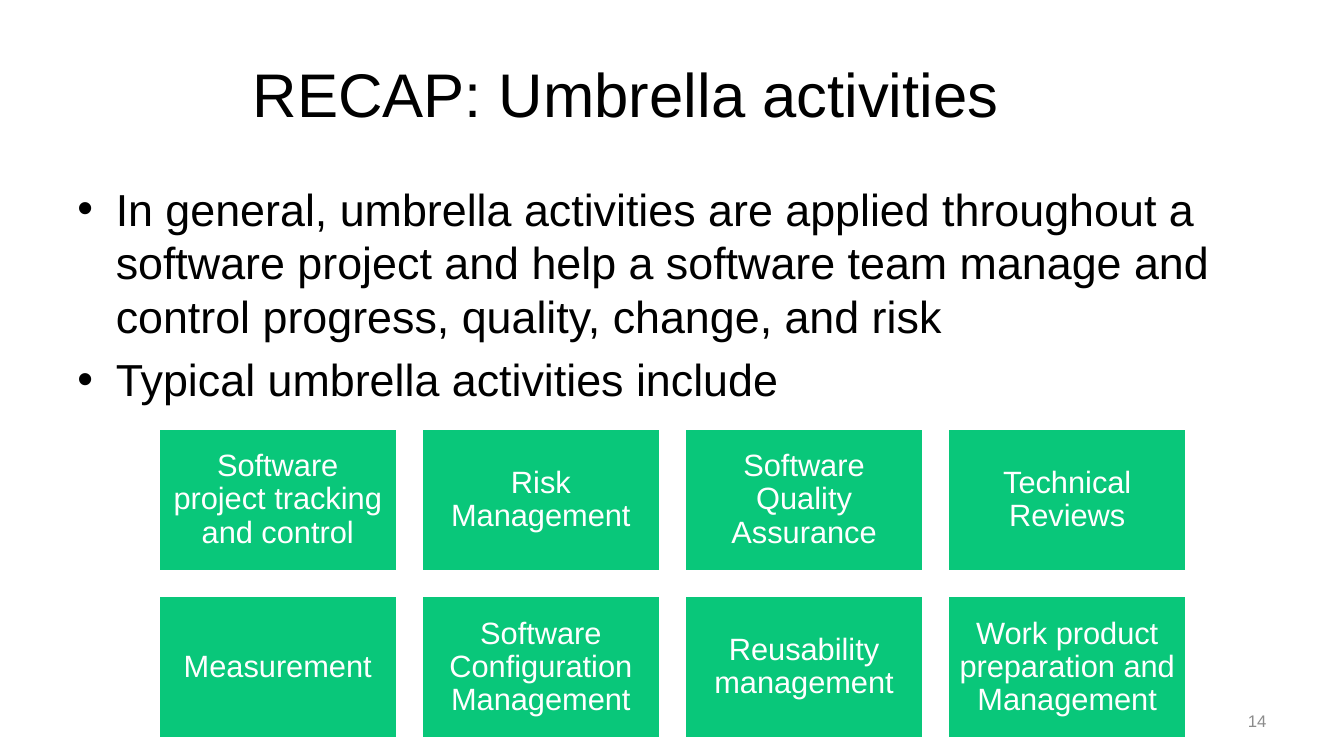
from lxml.etree import SubElement
from pptx import Presentation
from pptx.dml.color import RGBColor
from pptx.enum.shapes import MSO_SHAPE
from pptx.enum.text import MSO_ANCHOR, PP_ALIGN
from pptx.oxml.ns import qn
from pptx.util import Inches, Pt

TITLE = "RECAP: Umbrella activities"
POINTS = [
    "In general, umbrella activities are applied throughout a software project "
    "and help a software team manage and control progress, quality, change, and risk",
    "Typical umbrella activities include",
]
ACTIVITIES = [
    "Software project tracking and control",
    "Risk Management",
    "Software Quality Assurance",
    "Technical Reviews",
    "Measurement",
    "Software Configuration Management",
    "Reusability management",
    "Work product preparation and Management",
]
PAGE_NUMBER = "14"

THEME = {
    "font": "Arial",
    "ink": RGBColor(0, 0, 0),
    "muted": RGBColor(0x8C, 0x8C, 0x8C),
    "white": RGBColor(0xFF, 0xFF, 0xFF),
    "green": RGBColor(0x09, 0xC7, 0x7A),
    "title": Pt(44),
    "body": Pt(32),
    "tile": Pt(22),
    "number": Pt(12),
}
COLUMNS = 4
GRID_LEFT, GRID_TOP = 1.57, 4.25
TILE_WIDTH, TILE_HEIGHT = 2.37, 1.42
GAP = 0.24
BULLET_INDENT = Inches(0.38)


def set_values(target, values):
    for name, value in values.items():
        setattr(target, name, value)


def write(shape, lines, size, color, frame_format, para_format, bullet=False):
    """Fill a shape with paragraphs sharing one format; spacing starts at the second."""
    frame = shape.text_frame
    set_values(frame, {"word_wrap": True, **frame_format})
    for index, line in enumerate(lines):
        para = frame.add_paragraph() if index else frame.paragraphs[0]
        set_values(para, para_format)
        if index:
            para.space_before = Pt(6.4)
        if bullet:
            add_bullet(para)
        span = para.add_run()
        span.text = line
        set_values(span.font, {"name": THEME["font"], "size": THEME[size]})
        span.font.color.rgb = THEME[color]


def add_bullet(para):
    properties = para._p.get_or_add_pPr()
    properties.set("marL", str(BULLET_INDENT))
    properties.set("indent", str(-BULLET_INDENT))
    SubElement(properties, qn("a:buFont")).set("typeface", THEME["font"])
    SubElement(properties, qn("a:buChar")).set("char", "•")


def add_text(page, place, *content, **options):
    box = page.shapes.add_textbox(*map(Inches, place))
    write(box, *content, **options)


def add_tile(page, index, activity):
    row, column = divmod(index, COLUMNS)
    left = GRID_LEFT + column * (TILE_WIDTH + GAP)
    top = GRID_TOP + row * (TILE_HEIGHT + GAP)
    tile = page.shapes.add_shape(
        MSO_SHAPE.RECTANGLE, *map(Inches, (left, top, TILE_WIDTH, TILE_HEIGHT)))
    tile.shadow.inherit = False
    tile.fill.solid()
    tile.fill.fore_color.rgb = THEME["green"]
    tile.line.color.rgb = THEME["white"]
    tile.line.width = Pt(2)
    margins = {f"margin_{side}": Inches(0.09) for side in ("left", "top", "right", "bottom")}
    write(tile, [activity], "tile", "white",
          {"vertical_anchor": MSO_ANCHOR.MIDDLE, **margins},
          {"alignment": PP_ALIGN.CENTER, "line_spacing": 0.9})


def main():
    deck = Presentation()
    set_values(deck, {"slide_width": Inches(13.33), "slide_height": Inches(7.5)})
    page = deck.slides.add_slide(deck.slide_layouts[6])
    middle = {"vertical_anchor": MSO_ANCHOR.MIDDLE}
    add_text(page, (0.67, 0.3, 11.08, 1.25), [TITLE], "title", "ink",
             middle, {"alignment": PP_ALIGN.CENTER})
    add_text(page, (0.67, 1.75, 12, 4.95), POINTS, "body", "ink", {}, {}, bullet=True)
    add_text(page, (9.55, 6.95, 3.11, 0.4), [PAGE_NUMBER], "number", "muted",
             middle, {"alignment": PP_ALIGN.RIGHT})
    for index, activity in enumerate(ACTIVITIES):
        add_tile(page, index, activity)
    deck.save("out.pptx")


if __name__ == "__main__":
    main()
